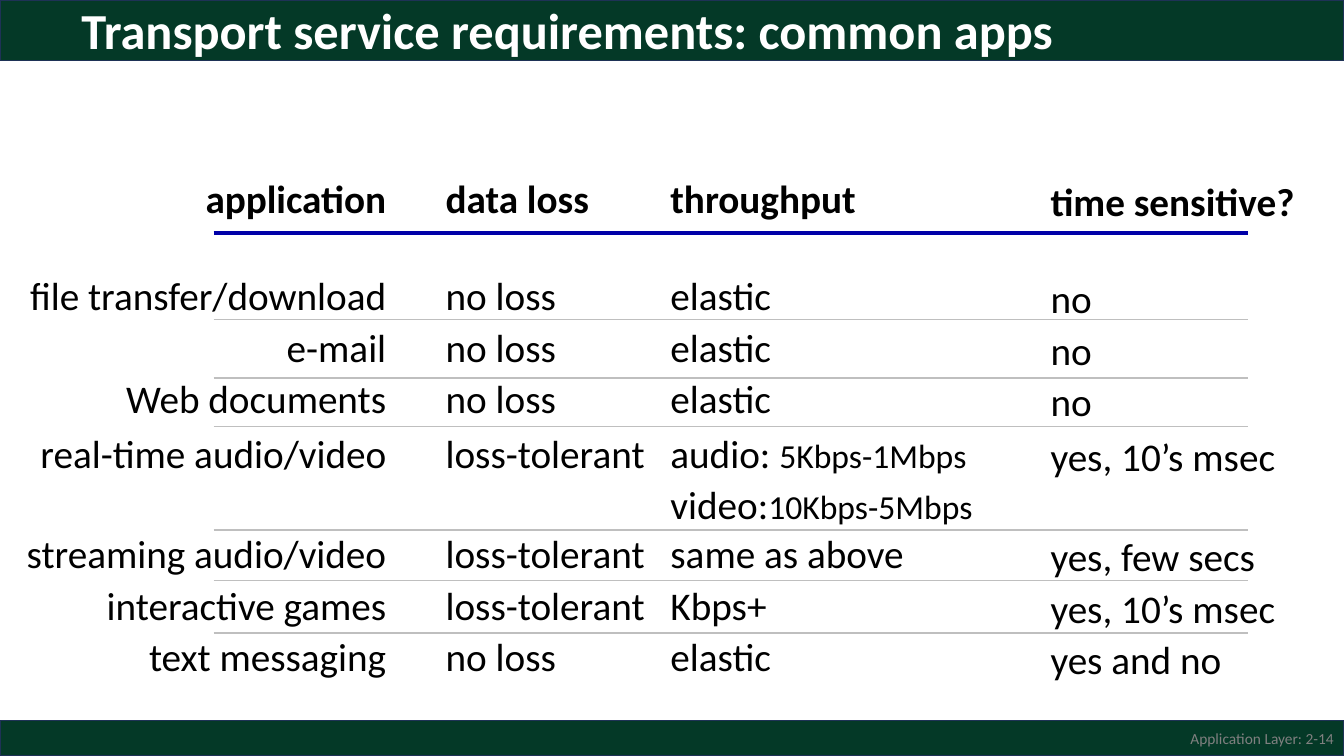
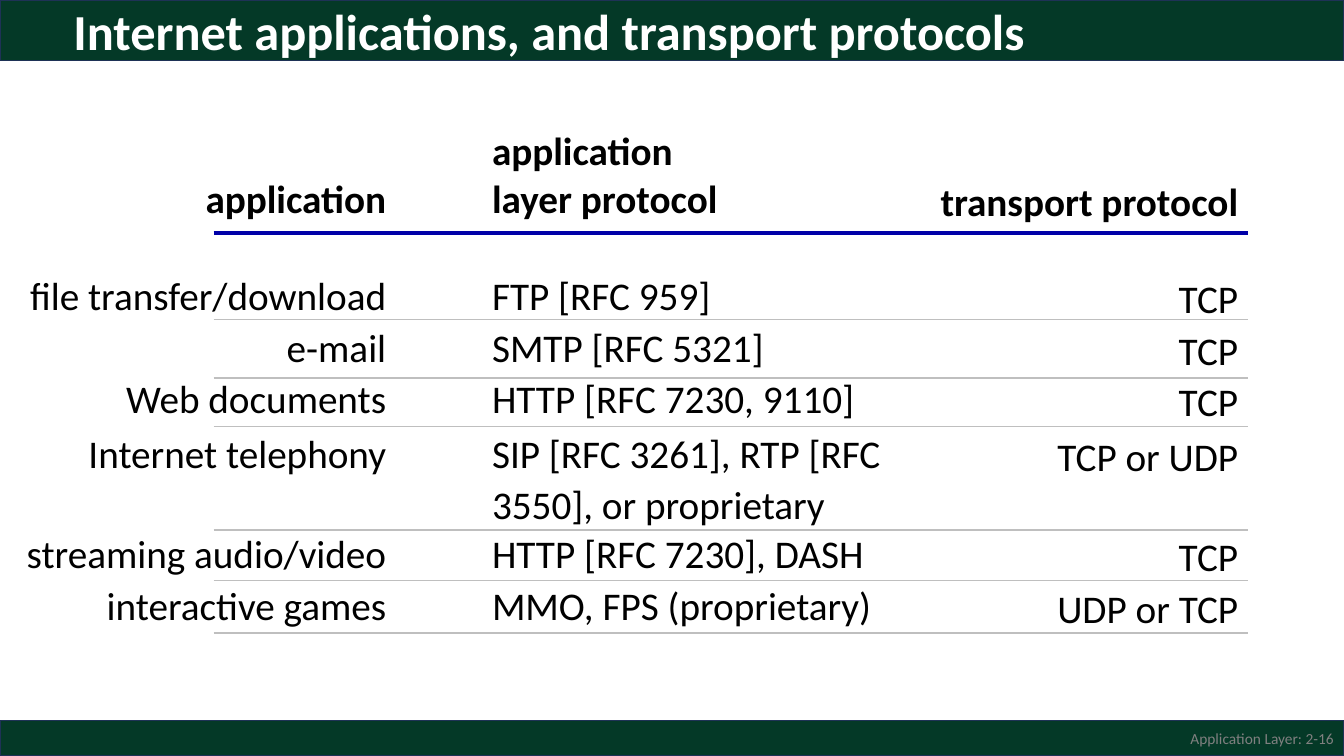
import pptx
import pptx.util
import pptx.dml.color
import pptx.enum.shapes
import pptx.enum.text
import lxml.etree

Inches, Pt = pptx.util.Inches, pptx.util.Pt
RGB = pptx.dml.color.RGBColor
ALIGN = pptx.enum.text.PP_ALIGN
ANCHOR = pptx.enum.text.MSO_ANCHOR

GREEN = RGB(0x04, 0x39, 0x27)
NAVY = RGB(0x1E, 0x32, 0x56)
BLUE = RGB(0x00, 0x00, 0xA8)
SILVER = RGB(0xBF, 0xBF, 0xBF)
GRAY = RGB(0x80, 0x80, 0x80)
BLACK = RGB(0, 0, 0)
WHITE = RGB(0xFF, 0xFF, 0xFF)
FONT = "Calibri"

WIDE, HIGH = 13.33, 7.5
BANDS = [(0, 0.6), (7.15, 0.35)]           # top, height
TOP, HEAD, ROW = 1.25, 1.46, 4.1 / 8       # table top, header row, body row
PAD, GAP = 0.1, 0.49                       # cell side margin, space under header
TALL, LEAD = 4, 1.07                       # row of two lines, its line spacing
RULES = [3.17, 3.75, 4.23, 5.26, 5.76, 6.28]
RULE_X = (2.12, 12.38)

# columns: left edge, right end of text, alignment, drop
# a cell is a string, or a list of lines of (label, small text)
SLIDES = [
    {
        "title": "Transport service requirements: common apps",
        "place": (0.71, 0, 11.5, 0.65),
        "page": "2-14",
        "cols": [(0.1, 3.83, ALIGN.RIGHT, 0), (4.32, 6.5, ALIGN.LEFT, 0),
                 (6.55, 10.2, ALIGN.LEFT, 0), (10.32, 13.2, ALIGN.LEFT, 0.03)],
        "rows": [
            ("application", "data loss", "throughput", "time sensitive?"),
            ("file transfer/download", "no loss", "elastic", "no"),
            ("e-mail", "no loss", "elastic", "no"),
            ("Web documents", "no loss", "elastic", "no"),
            ("real-time audio/video", "loss-tolerant",
             [("audio: ", "5Kbps-1Mbps"), ("video:", "10Kbps-5Mbps")],
             "yes, 10’s msec"),
            ("streaming audio/video", "loss-tolerant", "same as above",
             "yes, few secs"),
            ("interactive games", "loss-tolerant", "Kbps+", "yes, 10’s msec"),
            ("text messaging", "no loss", "elastic", "yes and no"),
        ],
    },
    {
        "title": "Internet applications, and transport protocols",
        "place": (0.63, 0.04, 11.5, 0.6),
        "page": "2-16",
        "cols": [(0.1, 3.83, ALIGN.RIGHT, 0), (4.78, 9.08, ALIGN.LEFT, 0),
                 (9.19, 12.28, ALIGN.RIGHT, 0.03)],
        "rows": [
            ("application", [("application", ""), ("layer protocol", "")],
             "transport protocol"),
            ("file transfer/download", "FTP [RFC 959]", "TCP"),
            ("e-mail", "SMTP [RFC 5321]", "TCP"),
            ("Web documents", "HTTP [RFC 7230, 9110]", "TCP"),
            ("Internet telephony",
             "SIP [RFC 3261], RTP [RFC 3550], or proprietary", "TCP or UDP"),
            ("streaming audio/video", "HTTP [RFC 7230], DASH", "TCP"),
            ("interactive games", "MMO, FPS (proprietary)", "UDP or TCP"),
        ],
    },
]


def style(para, size, color, bold=False, align=ALIGN.LEFT):
    para.alignment = align
    font = para.font
    font.name, font.size, font.bold = FONT, Pt(size), bold
    font.color.rgb = color


def add_text(slide, place, text, *look):
    frame = slide.shapes.add_textbox(*map(Inches, place)).text_frame
    frame.word_wrap = True
    frame.vertical_anchor = ANCHOR.MIDDLE
    para = frame.paragraphs[0]
    para.text = text
    style(para, *look)
    return para


def add_bands(slide):
    for top, high in BANDS:
        band = slide.shapes.add_shape(
            pptx.enum.shapes.MSO_SHAPE.RECTANGLE,
            *map(Inches, (0, top, WIDE, high)))
        band.shadow.inherit = False
        band.fill.solid()
        band.fill.fore_color.rgb = GREEN
        band.line.color.rgb = NAVY
        band.line.width = Pt(1)


def add_rule(slide, y, color, width):
    left, right = RULE_X
    rule = slide.shapes.add_connector(
        pptx.enum.shapes.MSO_CONNECTOR.STRAIGHT,
        *map(Inches, (left, y, right, y)))
    rule.line.color.rgb = color
    rule.line.width = Pt(width)
    lxml.etree.SubElement(rule._element.spPr,
                          pptx.oxml.ns.qn("a:effectLst"))


def fill_cell(cell, value, row, align, drop, right):
    head = row == 0
    cell.fill.background()
    cell.margin_left, cell.margin_right = Inches(PAD), Inches(right)
    cell.margin_top = Inches(0 if head else drop)
    cell.margin_bottom = Inches(GAP - drop if head else 0)
    cell.vertical_anchor = ANCHOR.BOTTOM if head else ANCHOR.TOP
    frame = cell.text_frame
    lines = [(value, "")] if isinstance(value, str) else value
    for i, (label, small) in enumerate(lines):
        para = frame.add_paragraph() if i else frame.paragraphs[0]
        para.add_run().text = label
        style(para, 28, BLACK, head, align)
        if row == TALL:
            para.line_spacing = LEAD
        if small:
            run = para.add_run()
            run.text = small
            run.font.size = Pt(24)


def add_grid(slide, cols, rows):
    edges = [col[0] for col in cols] + [cols[-1][1]]
    highs = [HEAD] + [ROW * (2 if r == TALL else 1)
                      for r in range(1, len(rows))]
    table = slide.shapes.add_table(
        len(rows), len(cols),
        *map(Inches, (edges[0], TOP, edges[-1] - edges[0], sum(highs)))).table
    table.first_row = table.horz_banding = False
    for r, high in enumerate(highs):
        table.rows[r].height = Inches(high)
    for c, (left, end, align, drop) in enumerate(cols):
        table.columns[c].width = Inches(edges[c + 1] - left)
        for r, row in enumerate(rows):
            fill_cell(table.cell(r, c), row[c], r, align, drop,
                      edges[c + 1] - end)


def main():
    prs = pptx.Presentation()
    prs.slide_width, prs.slide_height = Inches(WIDE), Inches(HIGH)
    for data in SLIDES:
        slide = prs.slides.add_slide(prs.slide_layouts[6])
        add_bands(slide)
        title = add_text(slide, data["place"], data["title"], 36, WHITE, True)
        title.line_spacing = 0.9
        add_text(slide, (WIDE - 3, 7.15, 3, 0.35),
                 "Application Layer: " + data["page"],
                 11, GRAY, False, ALIGN.RIGHT)
        add_grid(slide, data["cols"], data["rows"])
        add_rule(slide, 2.31, BLUE, 2.5)
        for y in RULES:
            add_rule(slide, y, SILVER, 1.25)
    prs.save("out.pptx")


if __name__ == "__main__":
    main()
